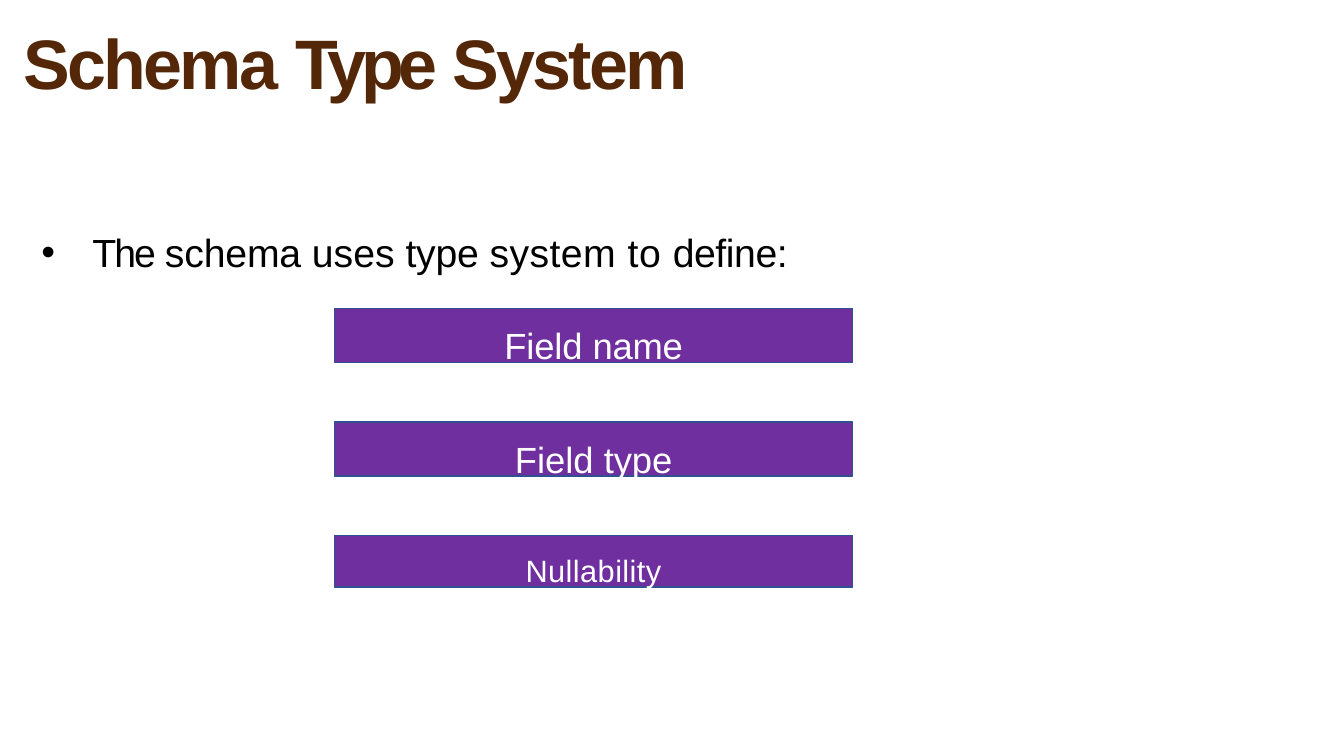
from dataclasses import dataclass

from pptx import Presentation
from pptx.dml.color import RGBColor
from pptx.enum.shapes import MSO_SHAPE as Shape
from pptx.enum.text import MSO_ANCHOR as Anchor, MSO_AUTO_SIZE as AutoSize, PP_ALIGN as Align
from pptx.oxml.ns import qn
from pptx.util import Cm, Pt
from lxml.etree import SubElement

TITLE = [("Schema ", -2), ("Type ", -3.7), ("System", -1.9)]
INTRO = [("The ", -1.4), ("schema ", -0.1), ("uses ", 0), ("type ", -0.1),
         ("system ", 0.3), ("to ", 0.4), ("define:", -0.3)]
FIELDS = [
    {"runs": [("Field ", -0.1), ("name", -0.2)], "size": 26, "height": 1.37, "inset": 0.5},
    {"runs": [("Field ", 0), ("type", -0.1)], "size": 26, "height": 1.37, "inset": 0.5},
    {"runs": [("Nullability", 0.3)], "size": 22, "height": 1.3, "inset": 0.46},
]
FIELD_LEFT, FIELD_TOP, FIELD_WIDTH, FIELD_STEP = 8.43, 7.77, 13.06, 2.86


@dataclass(frozen=True)
class Theme:
    font: str = "Arial"
    title_color: str = "532708"
    text_color: str = "000000"
    field_text: str = "FFFFFF"
    field_fill: str = "6F2F9F"
    field_line: str = "2E528F"
    title_size: int = 50
    intro_size: int = 28


THEME = Theme()


def place(shape, left, top, width, height):
    shape.left, shape.top, shape.width, shape.height = map(Cm, (left, top, width, height))


def write(shape, runs, size, color, align, anchor, inset, bold=False):
    frame = shape.text_frame
    frame.word_wrap = True
    frame.auto_size = AutoSize.NONE
    frame.vertical_anchor = anchor
    frame.margin_left = frame.margin_right = frame.margin_bottom = 0
    frame.margin_top = Cm(inset)
    paragraph = frame.paragraphs[0]
    paragraph.alignment = align
    paragraph.space_before = Pt(0)
    for text, spacing in runs:
        run = paragraph.add_run()
        run.text = text
        run.font.name = THEME.font
        run.font.size = Pt(size)
        run.font.bold = bold
        run.font.color.rgb = RGBColor.from_string(color)
        run.font._element.set("spc", str(round(spacing * 100)))
    return paragraph


def add_bullet(paragraph, indent):
    properties = paragraph._p.get_or_add_pPr()
    properties.set("marL", str(Cm(indent)))
    properties.set("indent", str(-Cm(indent)))
    color = SubElement(properties, qn("a:buClr"))
    SubElement(color, qn("a:srgbClr"), val=THEME.text_color)
    SubElement(properties, qn("a:buFont"), typeface=THEME.font)
    SubElement(properties, qn("a:buChar"), char="•")


def add_field(slide, index, field):
    shape = slide.shapes.add_shape(
        Shape.RECTANGLE, Cm(FIELD_LEFT), Cm(FIELD_TOP + index * FIELD_STEP),
        Cm(FIELD_WIDTH), Cm(field["height"]))
    shape.shadow.inherit = False
    shape.fill.solid()
    shape.fill.fore_color.rgb = RGBColor.from_string(THEME.field_fill)
    shape.line.color.rgb = RGBColor.from_string(THEME.field_line)
    shape.line.width = Pt(1)
    write(shape, field["runs"], field["size"], THEME.field_text,
          Align.CENTER, Anchor.MIDDLE, field["inset"])


def main():
    """Build the schema type system slide."""
    presentation = Presentation()
    presentation.slide_width, presentation.slide_height = Cm(33.87), Cm(19.05)
    slide = presentation.slides.add_slide(presentation.slide_layouts[1])

    title = slide.shapes.title
    place(title, 0.6, 0.28, 21.41, 4.27)
    write(title, TITLE, THEME.title_size, THEME.title_color, Align.LEFT, Anchor.TOP, 0.2, True)

    intro = slide.placeholders[1]
    place(intro, 1.04, 5.64, 18.9, 2.41)
    paragraph = write(intro, INTRO, THEME.intro_size, THEME.text_color,
                      Align.LEFT, Anchor.TOP, 0.12)
    add_bullet(paragraph, 1.29)

    for index, field in enumerate(FIELDS):
        add_field(slide, index, field)
    presentation.save("out.pptx")


if __name__ == "__main__":
    main()
